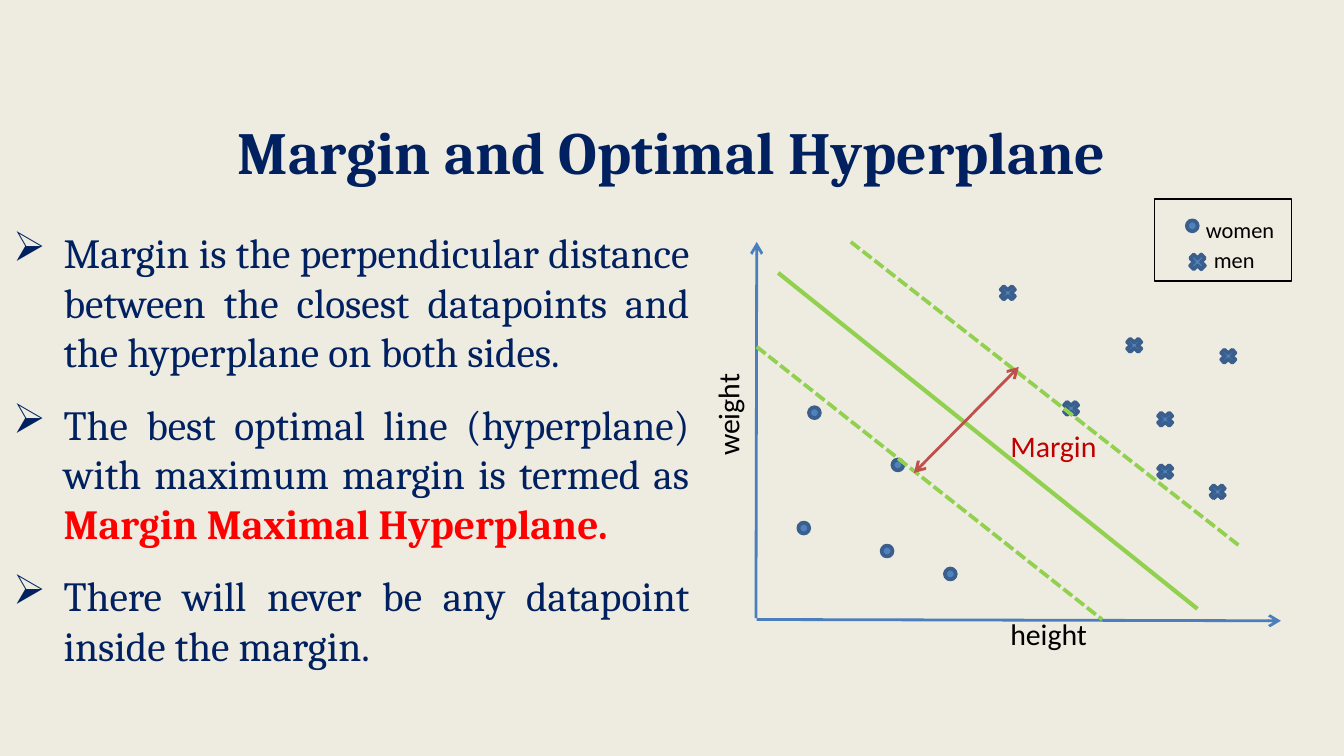
import pptx
import pptx.dml.color
import pptx.enum.dml
import pptx.enum.shapes
import pptx.enum.text
import pptx.oxml.xmlchemy
import pptx.util

Pt = pptx.util.Pt
RGBColor = pptx.dml.color.RGBColor
SHAPE = pptx.enum.shapes.MSO_SHAPE
ALIGN = pptx.enum.text.PP_ALIGN
ANCHOR = pptx.enum.text.MSO_ANCHOR

CREAM = RGBColor(0xEE, 0xEC, 0xE1)
NAVY = RGBColor(0x00, 0x20, 0x60)
RED = RGBColor(0xFF, 0x00, 0x00)
DARK_RED = RGBColor(0xC0, 0x00, 0x00)
BLACK = RGBColor(0x00, 0x00, 0x00)
AXIS_BLUE = RGBColor(0x4B, 0x7E, 0xBC)
MARK_BLUE = RGBColor(0x4F, 0x81, 0xBD)
MARK_EDGE = RGBColor(0x3A, 0x5F, 0x8C)
GREEN = RGBColor(0x92, 0xD0, 0x50)
BRICK = RGBColor(0xC0, 0x50, 0x4D)


def add_span(para, text, color, **formats):
    span = para.add_run()
    span.text = text
    span.font.color.rgb = color
    for name, value in formats.items():
        setattr(span.font, name, value)


def add_child(parent, tag, **attributes):
    child = pptx.oxml.xmlchemy.OxmlElement(tag)
    for name, value in attributes.items():
        child.set(name, value)
    parent.append(child)


deck = pptx.Presentation()
deck.slide_width = Pt(720)
deck.slide_height = Pt(405)
page = deck.slides.add_slide(deck.slide_layouts[6])
page.background.fill.solid()
page.background.fill.fore_color.rgb = CREAM

dots = [(427.7, 280), (472.3, 292.3), (433.4, 218.2), (478.1, 246.2), (506.2, 304.6)]
crosses = [(601.9, 180), (618.5, 219.6), (568.1, 213.8), (652.3, 185.8),
           (646.6, 258.5), (618.5, 247.7), (534.2, 151.9)]
legend_dot, legend_cross = (635.8, 118.1), (635.8, 134.6)
mark_groups = [
    (SHAPE.OVAL, dots + [legend_dot], 5.8, 5.8),
    (SHAPE.MATH_MULTIPLY, crosses, 11.5, 10.1),
    (SHAPE.MATH_MULTIPLY, [legend_cross], 11.5, 11.5),
]
for kind, places, width, height in mark_groups:
    for left, top in places:
        mark = page.shapes.add_shape(kind, Pt(left), Pt(top), Pt(width), Pt(height))
        mark.shadow.inherit = False
        mark.fill.solid()
        mark.fill.fore_color.rgb = MARK_BLUE
        mark.line.color.rgb = MARK_EDGE
        mark.line.width = Pt(2)

lines = [
    ((405.4, 331.9), (686.2, 332.6), AXIS_BLUE, 1.5, False, ["a:tailEnd"]),
    ((405, 331.2), (405.4, 129.6), AXIS_BLUE, 1.5, False, ["a:tailEnd"]),
    ((405.4, 185.8), (590.4, 331.9), GREEN, 2, True, []),
    ((416.9, 146.2), (641.5, 326.2), GREEN, 2.25, False, []),
    ((455.8, 129.6), (663.8, 292.3), GREEN, 2, True, []),
    ((489.6, 253.4), (545.8, 196.6), BRICK, 1.5, False, ["a:headEnd", "a:tailEnd"]),
]
for start, end, color, width, dashed, arrowheads in lines:
    line = page.shapes.add_connector(
        pptx.enum.shapes.MSO_CONNECTOR.STRAIGHT, *map(Pt, start + end))
    line.line.color.rgb = color
    line.line.width = Pt(width)
    if dashed:
        line.line.dash_style = pptx.enum.dml.MSO_LINE.SQUARE_DOT
    for tag in arrowheads:
        add_child(line.line._get_or_add_ln(), tag, type="arrow")
    add_child(line._element.spPr, "a:effectLst")

labels = [
    ("height", 534.2, 326.2, 61.9, 26.6, BLACK, "horz"),
    ("weight", 376.6, 191.5, 33.8, 59.8, BLACK, "vert270"),
    ("Margin", 534.2, 225.4, 61.9, 26.6, DARK_RED, "horz"),
]
for text, left, top, width, height, color, direction in labels:
    box = page.shapes.add_textbox(Pt(left), Pt(top), Pt(width), Pt(height))
    box.text_frame.word_wrap = True
    box.text_frame._txBody.bodyPr.set("vert", direction)
    add_span(box.text_frame.paragraphs[0], text, color, size=Pt(16), name="Calibri")

legend = page.shapes.add_shape(SHAPE.RECTANGLE, Pt(618.5), Pt(106.6), Pt(73.4), Pt(43.9))
legend.shadow.inherit = False
legend.fill.background()
legend.line.color.rgb = BLACK
legend.line.width = Pt(0.75)
legend_format = {"margin_left": Pt(27.5), "margin_right": Pt(0), "margin_top": Pt(9.3),
                 "margin_bottom": Pt(0), "vertical_anchor": ANCHOR.TOP, "word_wrap": True}
for name, value in legend_format.items():
    setattr(legend.text_frame, name, value)
for index, (text, indent) in enumerate([("women", 0), ("men", 4.3)]):
    para = legend.text_frame.paragraphs[0] if index == 0 else legend.text_frame.add_paragraph()
    para.alignment = ALIGN.LEFT
    para.space_after = Pt(1.6)
    para._p.get_or_add_pPr().set("marL", str(Pt(indent)))
    add_span(para, text, BLACK, size=Pt(12), name="Calibri")

body = page.shapes.add_textbox(Pt(0), Pt(118.1), Pt(376.6), Pt(237.6))
body.text_frame.word_wrap = True
points = [
    [("Margin is the perpendicular distance between the closest datapoints "
      "and the hyperplane on both sides.", NAVY, False)],
    [("The best optimal line (hyperplane) with maximum margin is termed as ", NAVY, False),
     ("Margin Maximal Hyperplane.", RED, True)],
    [("There will never be any datapoint inside the margin.", NAVY, False)],
]
for index, spans in enumerate(points):
    para = body.text_frame.paragraphs[0] if index == 0 else body.text_frame.add_paragraph()
    para.alignment = ALIGN.JUSTIFY
    para.space_after = Pt(12)
    properties = para._p.get_or_add_pPr()
    properties.set("marL", str(Pt(27)))
    properties.set("indent", str(Pt(-27)))
    add_child(properties, "a:buChar", char="➢")
    for text, color, bold in spans:
        add_span(para, text, color, size=Pt(22.2), name="Cambria", bold=bold)

title = page.shapes.add_textbox(Pt(0), Pt(59), Pt(720), Pt(43.2))
title.text_frame.word_wrap = True
title.text_frame.vertical_anchor = ANCHOR.MIDDLE
para = title.text_frame.paragraphs[0]
para.alignment = ALIGN.CENTER
add_span(para, "Margin and Optimal Hyperplane", NAVY, size=Pt(32), name="Cambria", bold=True)

deck.save("out.pptx")
